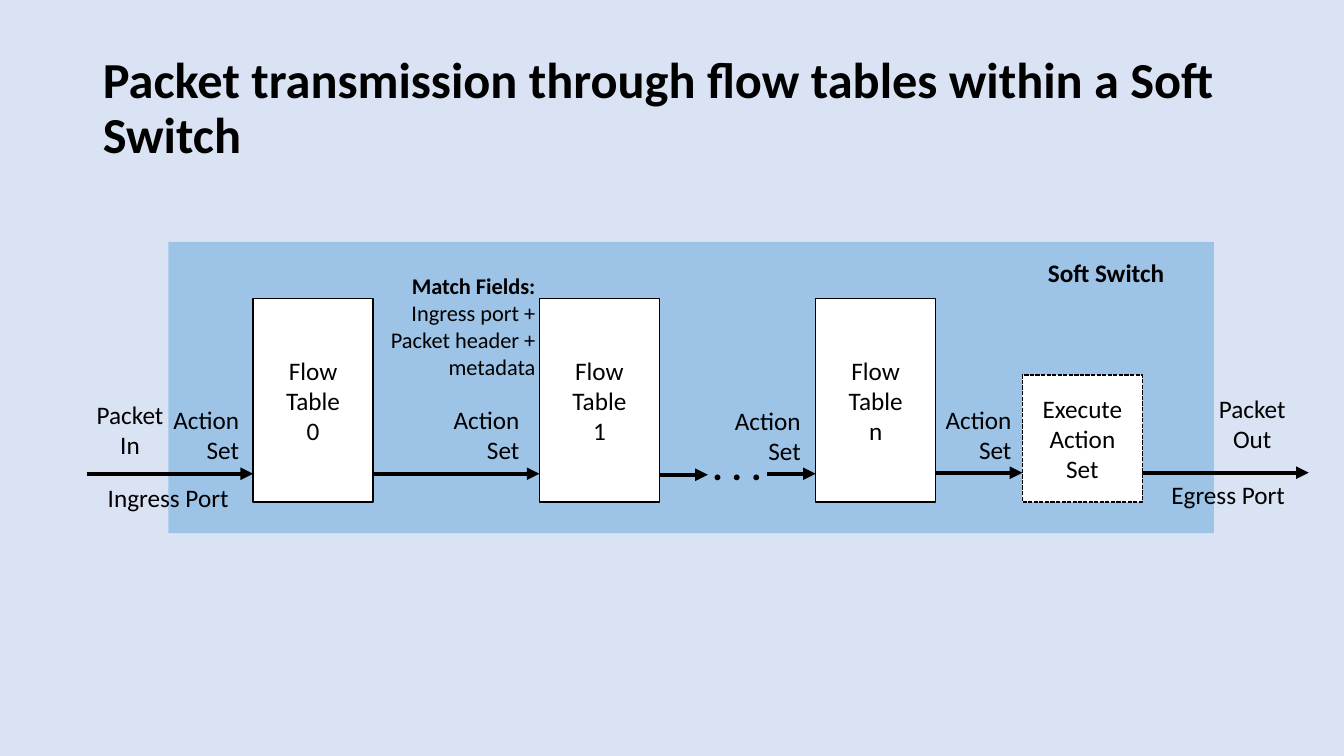
from lxml.etree import SubElement
from pptx import Presentation
from pptx.dml.color import RGBColor
from pptx.enum.dml import MSO_LINE
from pptx.enum.shapes import MSO_CONNECTOR, MSO_SHAPE
from pptx.enum.text import MSO_ANCHOR as ANCHOR, PP_ALIGN as ALIGN
from pptx.oxml.ns import qn
from pptx.util import Inches, Pt

COLORS = {"page": "DAE3F3", "switch": "9DC3E6", "table": "FFFFFF", "ink": "000000"}
SWITCH_NAME = "Soft Switch"


def color(name):
    return RGBColor.from_string(COLORS[name])


def write(box, text, size=18, bold_lines=0, align=ALIGN.CENTER, anchor=ANCHOR.TOP,
          wrap=True, spacing=None):
    """Fill a box with one paragraph per line; the first bold_lines are bold."""
    frame = box.text_frame
    frame.word_wrap = wrap
    frame.vertical_anchor = anchor
    for index, line in enumerate(text.split("\n")):
        para = frame.paragraphs[0] if index == 0 else frame.add_paragraph()
        para.alignment = align
        if spacing:
            para.line_spacing = spacing
        span = para.add_run()
        span.text = line
        span.font.name = "Calibri"
        span.font.size = Pt(size)
        span.font.bold = index < bold_lines
        span.font.color.rgb = color("ink")


deck = Presentation()
deck.slide_width, deck.slide_height = Inches(13.33), Inches(7.5)
page = deck.slides.add_slide(deck.slide_layouts[5])
page.background.fill.solid()
page.background.fill.fore_color.rgb = color("page")

# Title
title = page.shapes.title
title.left, title.top = Inches(0.92), Inches(0.4)
title.width, title.height = Inches(11.5), Inches(1.28)
write(title, f"Packet transmission through flow tables within a {SWITCH_NAME}",
      size=36, bold_lines=1, align=ALIGN.LEFT, anchor=ANCHOR.BOTTOM, spacing=0.9)

# Switch area, flow tables and the final action box, all ending on one baseline
BOX_WIDTH, BOX_BOTTOM = 1.19, 4.98
blocks = [
    (1.67, 2.4, 10.37, 2.89, "switch", ""),
    (2.51, 2.96, BOX_WIDTH, BOX_BOTTOM - 2.96, "table", "Flow\nTable\n0"),
    (5.35, 2.96, BOX_WIDTH, BOX_BOTTOM - 2.96, "table", "Flow\nTable\n1"),
    (8.09, 2.96, BOX_WIDTH, BOX_BOTTOM - 2.96, "table", "Flow\nTable\nn"),
    (10.14, 3.72, BOX_WIDTH, BOX_BOTTOM - 3.72, "table", "Execute Action Set"),
]
for left, top, width, height, fill, text in blocks:
    block = page.shapes.add_shape(MSO_SHAPE.RECTANGLE, Inches(left), Inches(top),
                                  Inches(width), Inches(height))
    block.shadow.inherit = False
    block.fill.solid()
    block.fill.fore_color.rgb = color(fill)
    if not text:
        block.line.fill.background()
        continue
    block.line.color.rgb = color("ink")
    block.line.width = Pt(1)
    if text.startswith("Execute"):
        block.line.dash_style = MSO_LINE.SQUARE_DOT
    write(block, text, anchor=ANCHOR.MIDDLE)

# Packet path
arrows = [(0.86, 2.51, 4.7), (3.7, 5.35, 4.7), (6.55, 7.02, 4.71),
          (7.61, 8.09, 4.7), (9.28, 10.14, 4.69), (11.33, 12.98, 4.69)]
for start, end, y in arrows:
    arrow = page.shapes.add_connector(MSO_CONNECTOR.STRAIGHT, Inches(start), Inches(y),
                                      Inches(end), Inches(y))
    arrow.line.color.rgb = color("ink")
    arrow.line.width = Pt(3)
    SubElement(arrow.line._get_or_add_ln(), qn("a:tailEnd"), type="triangle")
    SubElement(arrow._element.spPr, qn("a:effectLst"))

# Labels
labels = [
    (0.97, 4.74, 1.41, 0.4, "Ingress Port", {"align": ALIGN.LEFT}),
    (11.52, 4.71, 1.34, 0.4, "Egress Port", {"align": ALIGN.LEFT, "wrap": False}),
    (0.84, 3.91, 0.9, 0.71, "Packet\nIn", {}),
    (11.97, 3.85, 0.9, 0.71, "Packet\nOut", {}),
    (10.06, 2.5, 1.82, 0.4, SWITCH_NAME, {"bold_lines": 1}),
    (6.86, 4.33, 0.9, 0.57, ". . .", {"size": 28, "bold_lines": 1}),
    (3.51, 2.65, 1.9, 1.18, "Match Fields:\nIngress port +\nPacket header +\nmetadata",
     {"size": 16, "bold_lines": 1, "align": ALIGN.RIGHT}),
]
action_sets = [(1.57, 3.96), (4.35, 3.96), (7.14, 3.97), (9.23, 3.96)]
labels += [(left, top, 0.9, 0.71, "Action Set", {"align": ALIGN.RIGHT})
           for left, top in action_sets]
for left, top, width, height, text, style in labels:
    label = page.shapes.add_textbox(Inches(left), Inches(top), Inches(width), Inches(height))
    write(label, text, **style)

deck.save("out.pptx")
